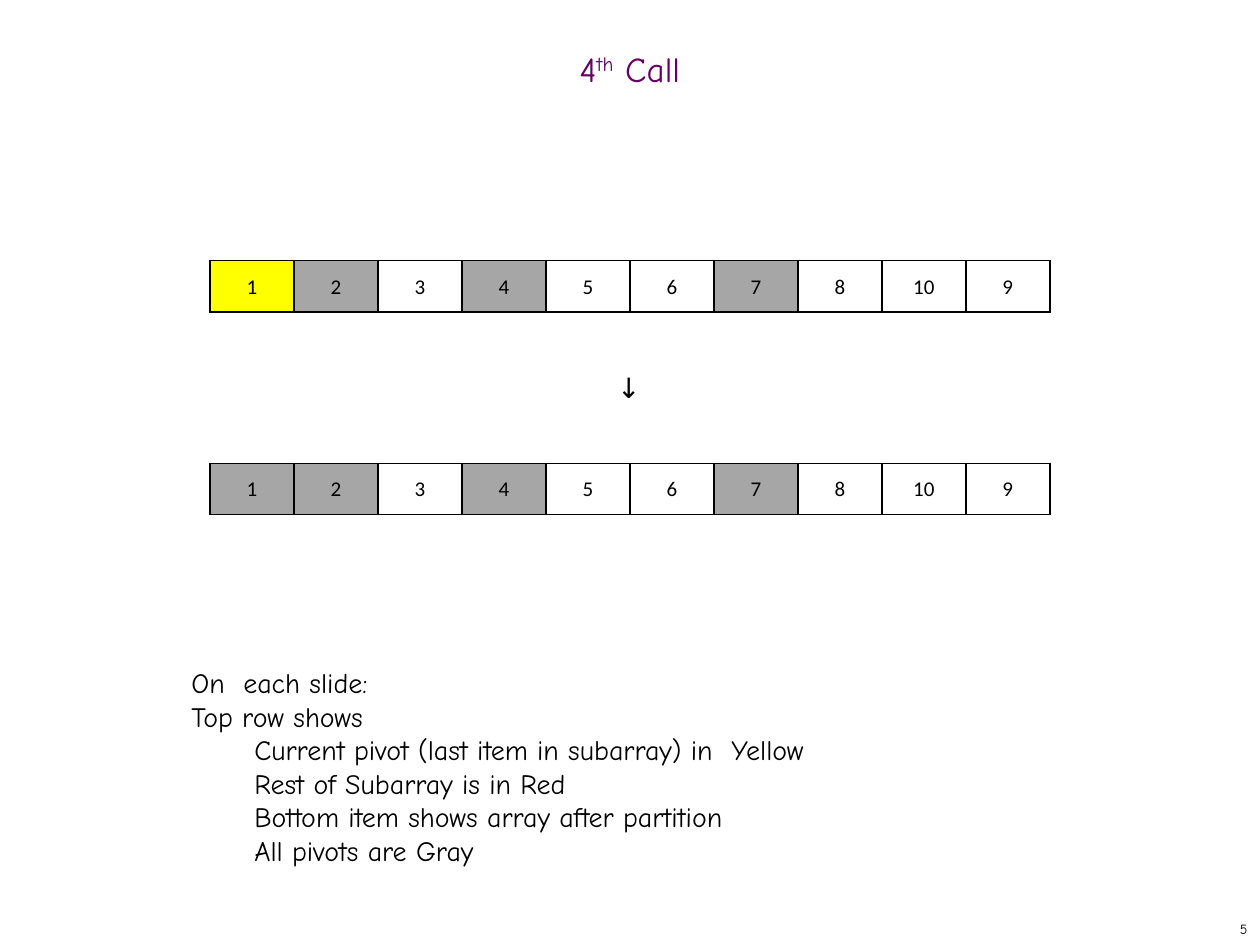
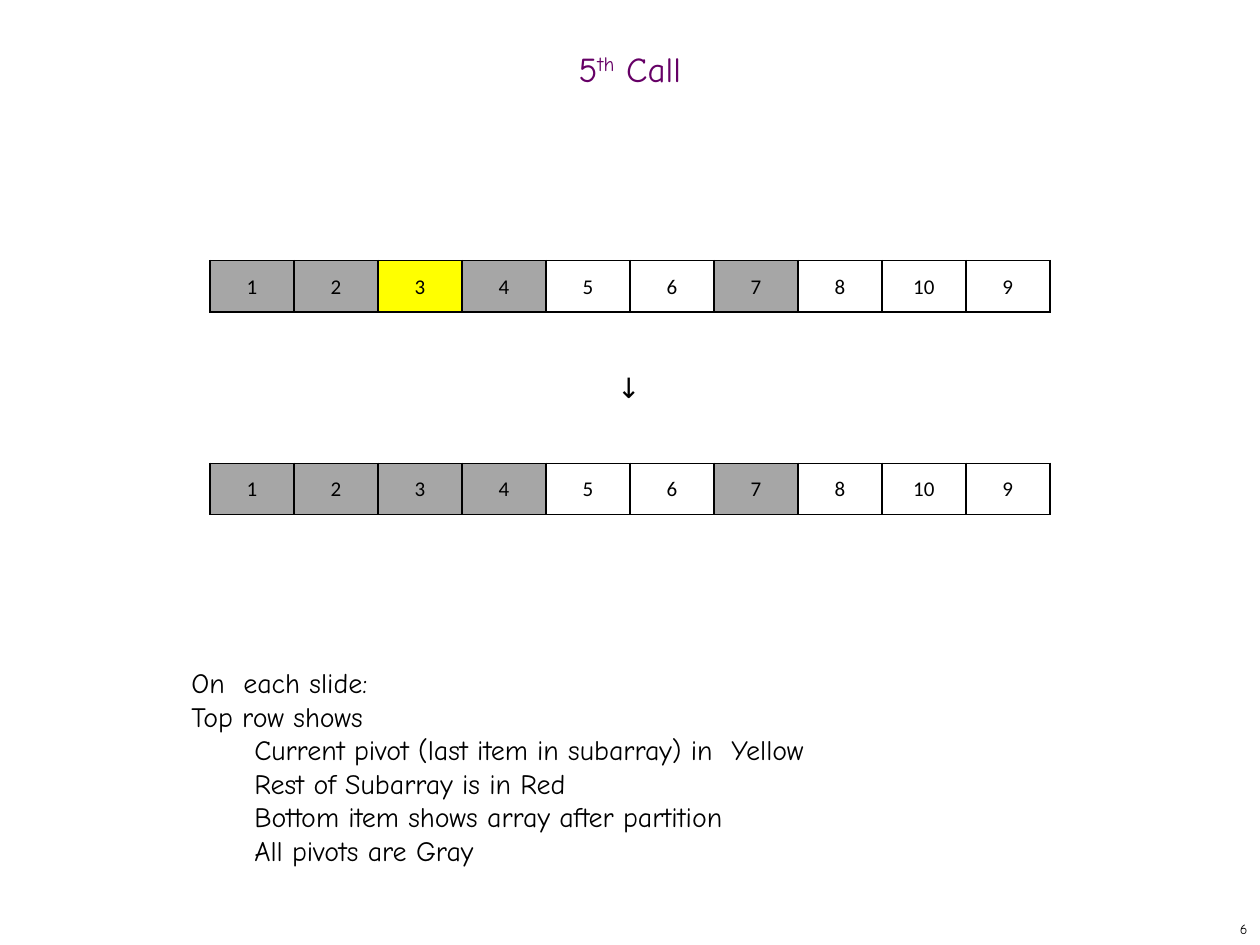
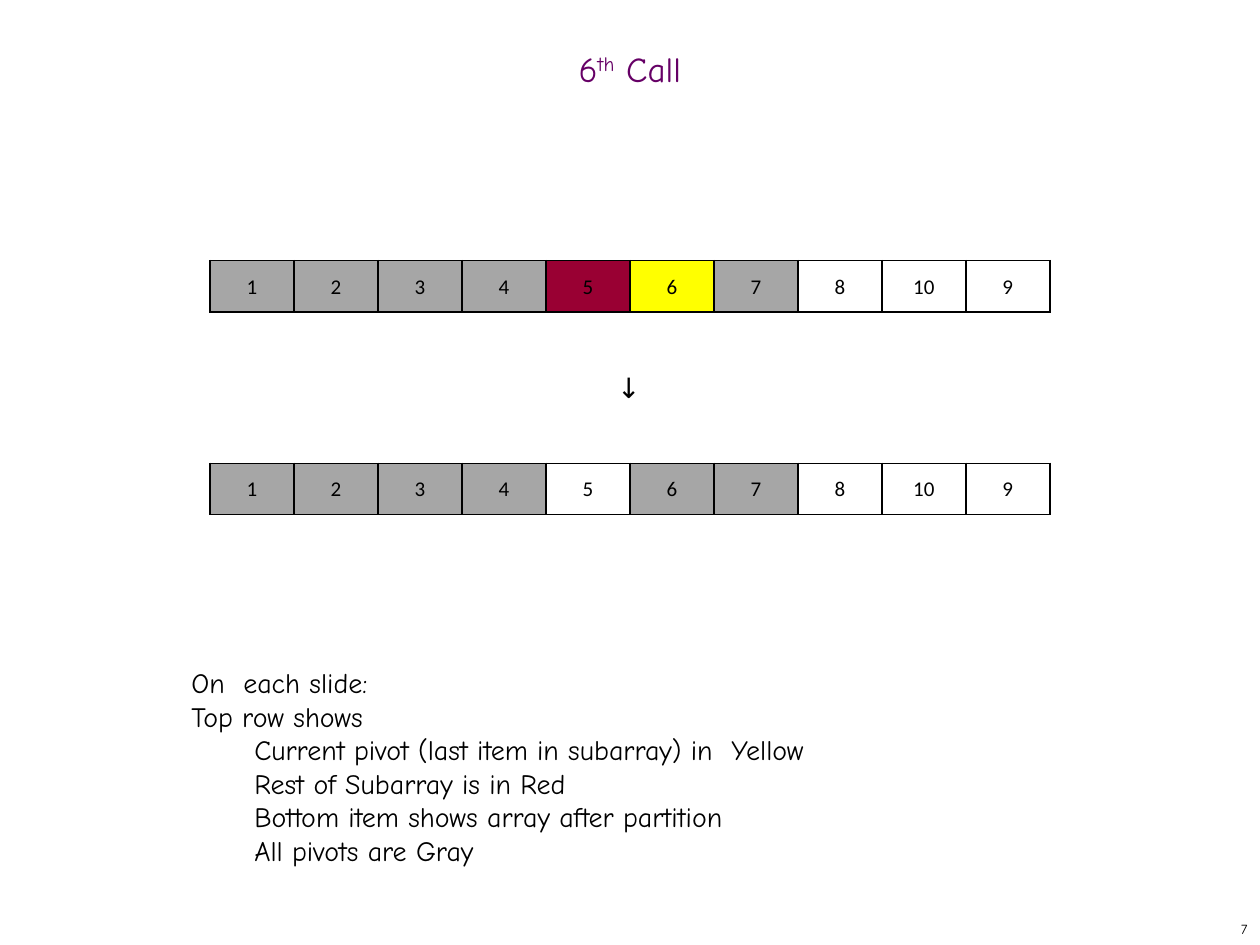
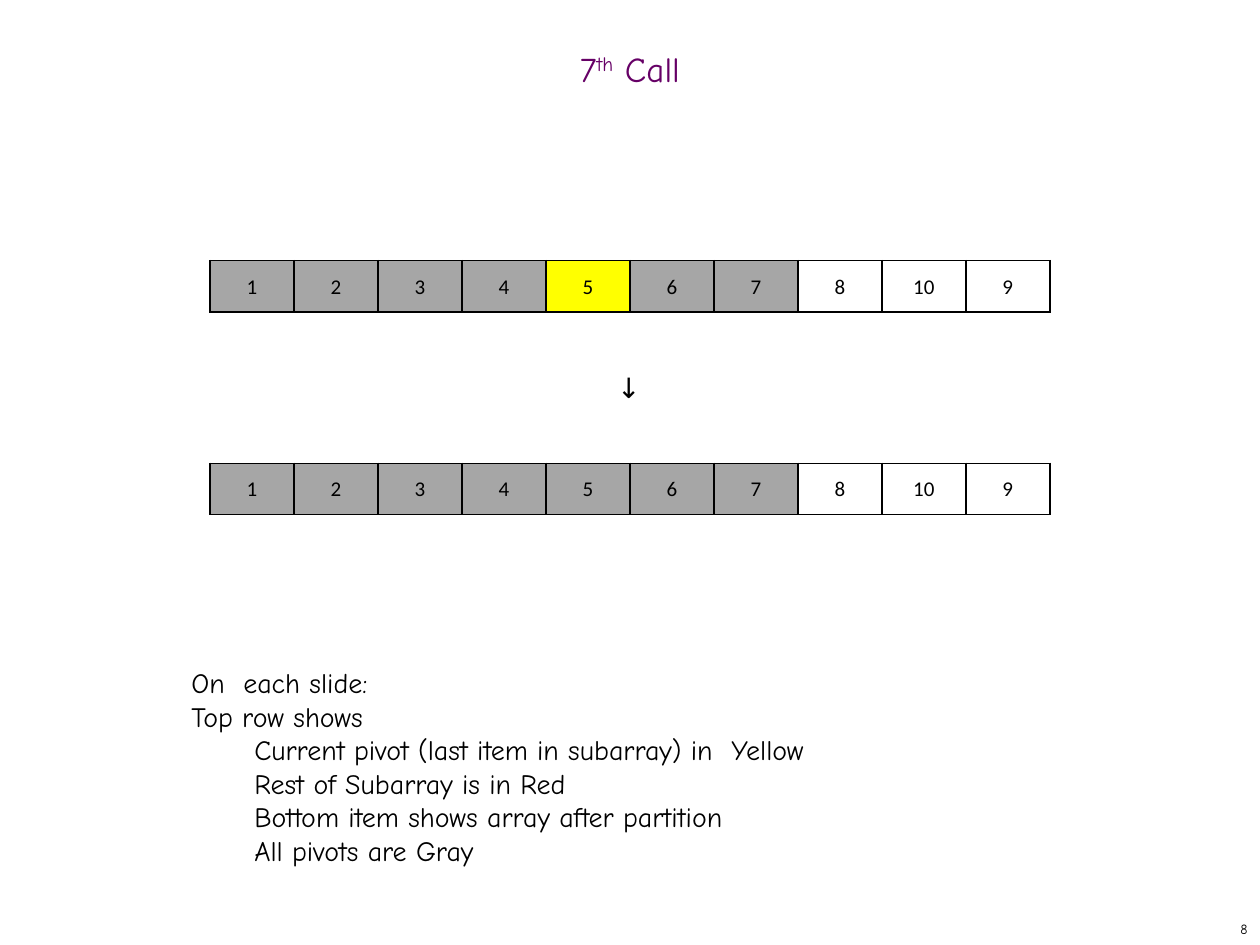
from copy import deepcopy
from dataclasses import dataclass
from typing import Any

from lxml import etree
from pptx import Presentation
from pptx.dml.color import RGBColor
from pptx.enum.text import MSO_ANCHOR, MSO_AUTO_SIZE, PP_ALIGN
from pptx.oxml.ns import qn
from pptx.slide import Slide
from pptx.table import _Cell
from pptx.util import Pt

LEFT, CENTER, RIGHT = PP_ALIGN.LEFT, PP_ALIGN.CENTER, PP_ALIGN.RIGHT
TOP, MIDDLE = MSO_ANCHOR.TOP, MSO_ANCHOR.MIDDLE
FIXED, GROW = MSO_AUTO_SIZE.NONE, MSO_AUTO_SIZE.SHAPE_TO_FIT_TEXT

BLACK = RGBColor(0x00, 0x00, 0x00)
PURPLE = RGBColor(0x66, 0x00, 0x66)
PIVOT_YELLOW = RGBColor(0xFF, 0xFF, 0x00)
SUBARRAY_RED = RGBColor(0x99, 0x00, 0x33)
DONE_GRAY = RGBColor(0xA6, 0xA6, 0xA6)

TITLE_FONT = {"name": "Comic Neue", "size": Pt(20)}
BODY_FONT = {"name": "Comic Neue", "size": Pt(16)}
NUMBER_FONT = {"name": "Comic Neue", "size": Pt(8)}
CELL_FONT = {"name": "Calibri", "size": Pt(12)}
CELL_FORMAT = {
    "vertical_anchor": MIDDLE,
    "margin_left": Pt(0.72),
    "margin_right": Pt(0.72),
    "margin_top": Pt(0.72),
    "margin_bottom": Pt(0),
}

VALUES = (1, 2, 3, 4, 5, 6, 7, 8, 10, 9)
ROW_LEFT, CELL_WIDTH, ROW_HEIGHT = 120, 48, 29.25
BEFORE_TOP, AFTER_TOP = 149, 264.75
FIRST_PIVOTS = frozenset({1, 3, 6})
BORDERS = ("a:lnL", "a:lnR", "a:lnT", "a:lnB")


@dataclass(frozen=True)
class Call:
    number: int
    low: int
    pivot: int


@dataclass(frozen=True)
class Line:
    text: str
    indent: float = 0


@dataclass(frozen=True)
class Box:
    left: float
    top: float
    width: float
    height: float
    anchor: Any = TOP
    align: Any = LEFT
    wrap: bool = True
    auto_size: Any = FIXED


CALLS = (Call(4, 0, 0), Call(5, 2, 2), Call(6, 4, 5), Call(7, 4, 4))
TITLE_BOX = Box(0, 24, 720, 36, MIDDLE, CENTER)
NUMBER_BOX = Box(570, 522, 150, 18, MIDDLE, RIGHT, False)
ARROW_BOX = Box(345.6, 208, 29.5, 26.6, wrap=False, auto_size=GROW)
LEGEND_BOX = Box(102.25, 376.75, 575, 123.8, auto_size=GROW)
LEGEND = (
    Line("On  each slide:"),
    Line("Top row shows "),
    Line("Current pivot (last item in subarray) in  Yellow\vRest of Subarray is in Red", 36),
    Line("Bottom item shows array after partition", 36),
    Line("All pivots are Gray", 36),
)


def apply(target: Any, values: dict[str, Any]) -> None:
    for name, value in values.items():
        setattr(target, name, value)


def style_runs(paragraph: Any, font: dict[str, Any], color: RGBColor = BLACK) -> None:
    for run in paragraph.runs:
        apply(run.font, font)
        run.font.color.rgb = color
    for line_break in paragraph._p.findall(qn("a:br")):
        line_break.append(deepcopy(paragraph.runs[0]._r.get_or_add_rPr()))


def add_text(slide: Slide, box: Box, lines: tuple[Line, ...], font: dict[str, Any]) -> Any:
    shape = slide.shapes.add_textbox(Pt(box.left), Pt(box.top), Pt(box.width), Pt(box.height))
    frame = shape.text_frame
    apply(frame, {"word_wrap": box.wrap, "auto_size": box.auto_size, "vertical_anchor": box.anchor})
    for index, line in enumerate(lines):
        paragraph = frame.add_paragraph() if index else frame.paragraphs[0]
        apply(paragraph, {"text": line.text, "alignment": box.align})
        if line.indent:
            paragraph._p.get_or_add_pPr().set("marL", str(Pt(line.indent)))
        style_runs(paragraph, font)
    return frame.paragraphs[0]


def add_title(slide: Slide, number: int) -> None:
    paragraph = add_text(slide, TITLE_BOX, (Line(str(number)),), TITLE_FONT)
    paragraph.line_spacing = 0.7
    ordinal, word = paragraph.add_run(), paragraph.add_run()
    ordinal.text, word.text = "th", " Call"
    style_runs(paragraph, TITLE_FONT, PURPLE)
    ordinal._r.get_or_add_rPr().set("baseline", "30000")


def add_borders(cell: _Cell) -> None:
    properties = cell._tc.get_or_add_tcPr()
    for position, tag in enumerate(BORDERS):
        border = etree.Element(qn(tag), w=str(Pt(1)))
        fill = etree.SubElement(border, qn("a:solidFill"))
        etree.SubElement(fill, qn("a:srgbClr"), val=str(BLACK))
        properties.insert(position, border)


def add_array(slide: Slide, top: float, fills: dict[int, RGBColor]) -> None:
    count = len(VALUES)
    table = slide.shapes.add_table(
        1, count, Pt(ROW_LEFT), Pt(top), Pt(CELL_WIDTH * count), Pt(ROW_HEIGHT)
    ).table
    apply(table, {"first_row": False, "horz_banding": False})
    for index, value in enumerate(VALUES):
        cell = table.cell(0, index)
        apply(cell, CELL_FORMAT)
        paragraph = cell.text_frame.paragraphs[0]
        apply(paragraph, {"text": str(value), "alignment": CENTER})
        style_runs(paragraph, CELL_FONT)
        if index in fills:
            cell.fill.solid()
            cell.fill.fore_color.rgb = fills[index]
        else:
            cell.fill.background()
        add_borders(cell)


def add_call_slide(presentation: Any, call: Call, pivots: frozenset[int]) -> frozenset[int]:
    slide = presentation.slides.add_slide(presentation.slide_layouts[6])
    pivots_after = pivots | {call.pivot}
    before = dict.fromkeys(pivots, DONE_GRAY)
    before |= dict.fromkeys(range(call.low, call.pivot), SUBARRAY_RED)
    before[call.pivot] = PIVOT_YELLOW
    add_title(slide, call.number)
    add_text(slide, NUMBER_BOX, (Line(str(call.number + 1)),), NUMBER_FONT)
    add_array(slide, BEFORE_TOP, before)
    add_array(slide, AFTER_TOP, dict.fromkeys(pivots_after, DONE_GRAY))
    add_text(slide, ARROW_BOX, (Line("↓"),), BODY_FONT)
    add_text(slide, LEGEND_BOX, LEGEND, BODY_FONT)
    return pivots_after


def main() -> None:
    presentation = Presentation()
    apply(presentation, {"slide_width": Pt(720), "slide_height": Pt(540)})
    pivots = FIRST_PIVOTS
    for call in CALLS:
        pivots = add_call_slide(presentation, call, pivots)
    presentation.save("out.pptx")


main()
